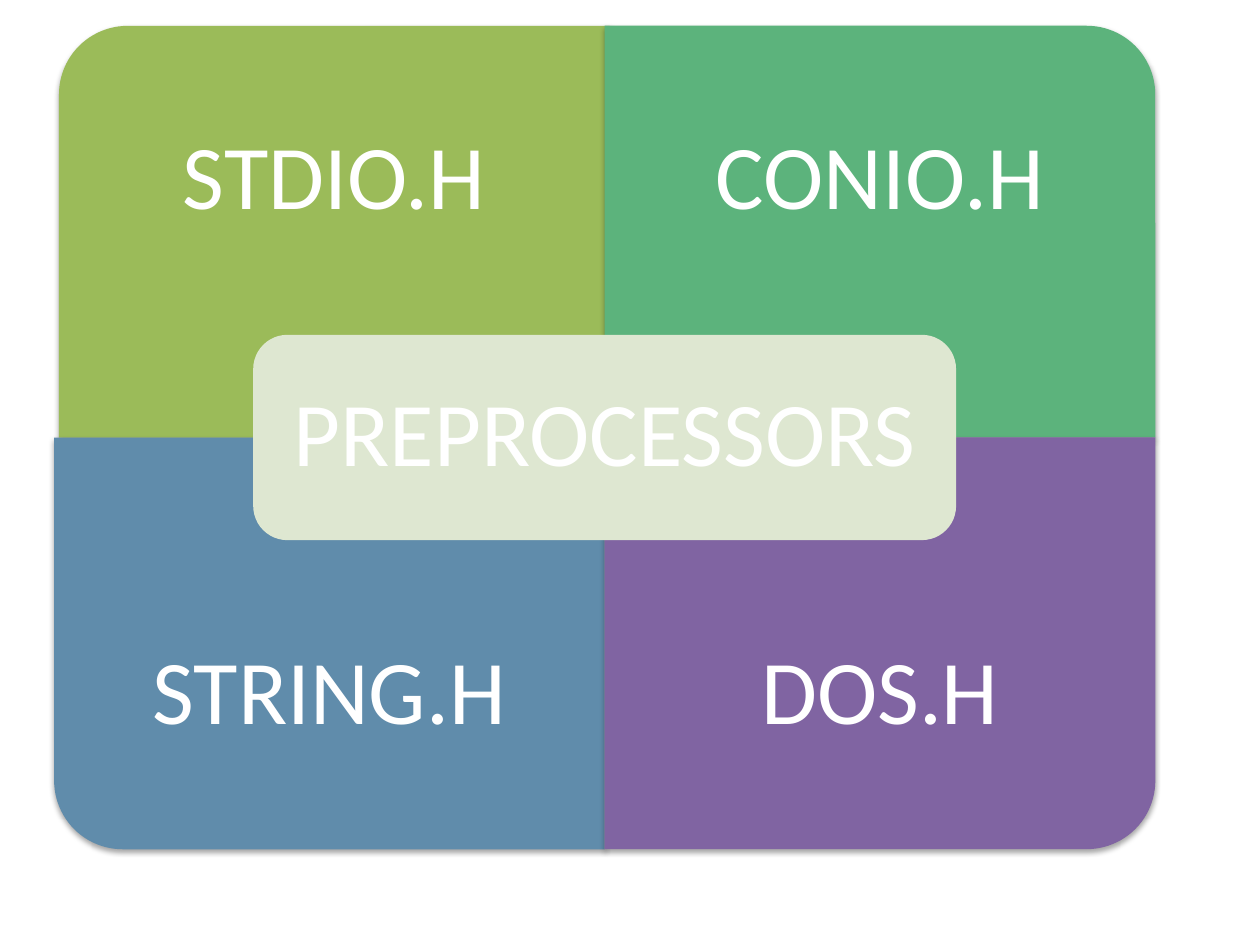
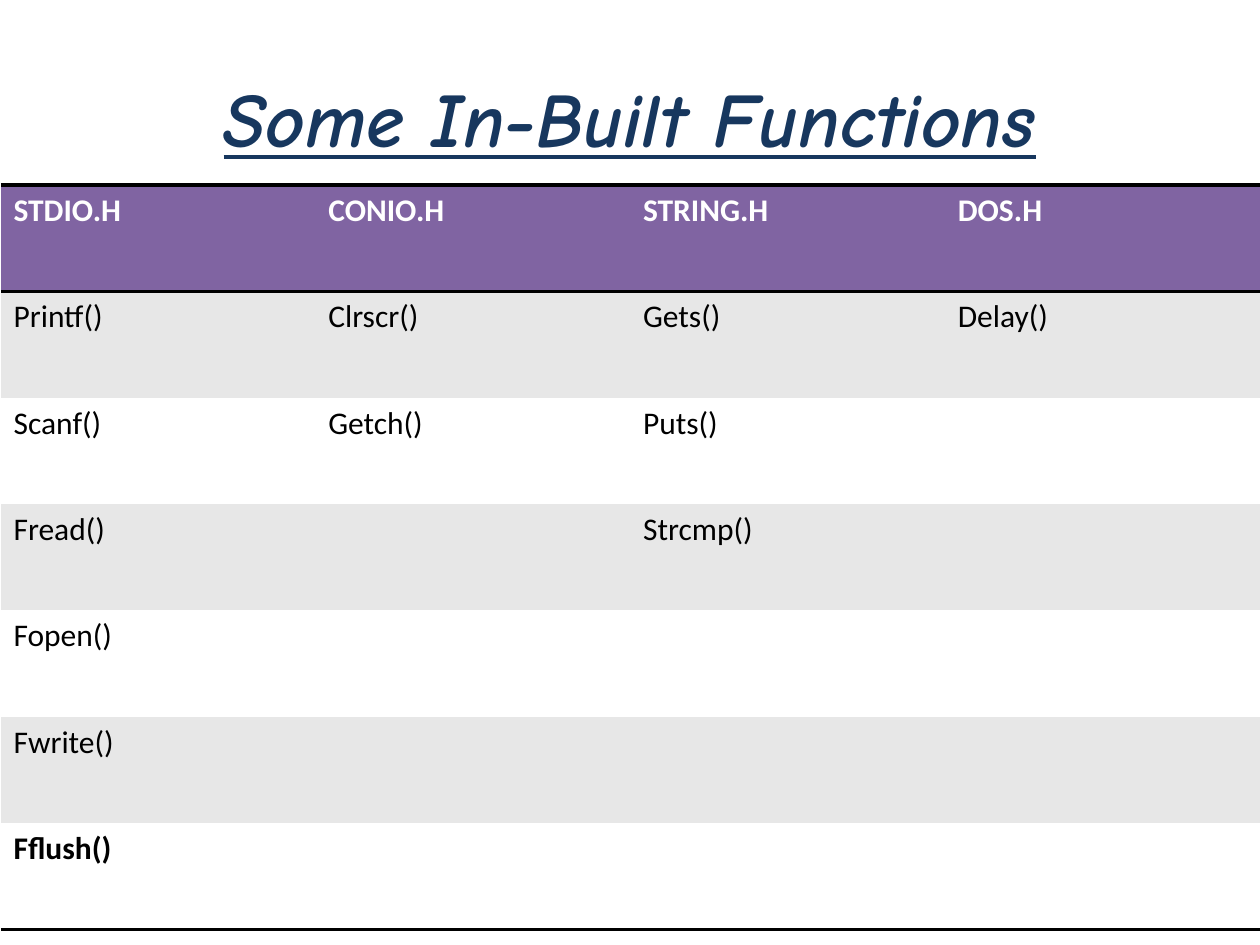
from lxml.etree import SubElement
from pptx import Presentation
from pptx.dml.color import RGBColor
from pptx.enum.shapes import MSO_SHAPE
from pptx.enum.text import MSO_ANCHOR, PP_ALIGN
from pptx.oxml import parse_xml
from pptx.oxml.ns import nsdecls, qn
from pptx.util import Cm, Pt

WHITE, BLACK, NAVY = "FFFFFF", "000000", "17375E"
GREEN, TEAL, BLUE, PURPLE = "9BBB59", "5CB37C", "608CAB", "8064A2"
PALE_GREEN, BAND_GREY = "DEE7D1", "E7E7E7"
BODY_FONT, TITLE_FONT = "Calibri", "Comic Neue"
PLAIN_TABLE_STYLE = "{2D5ABB26-0587-4C30-8999-92F81FD0307C}"

CENTRE_X, CENTRE_Y = 12.19, 8.82
QUADRANT_WIDTH, QUADRANT_HEIGHT, LABEL_HEIGHT = 11.1, 8.3, 6.22
QUADRANTS = [
    ("STDIO.H", GREEN, 1.19, CENTRE_Y - QUADRANT_HEIGHT, 270),
    ("CONIO.H", TEAL, CENTRE_X, CENTRE_Y - QUADRANT_HEIGHT, 0),
    ("STRING.H", BLUE, CENTRE_X - QUADRANT_WIDTH, CENTRE_Y, 180),
    ("DOS.H", PURPLE, CENTRE_X, CENTRE_Y, 90),
]
FUNCTIONS = [
    ["STDIO.H", "CONIO.H", "STRING.H", "DOS.H"],
    ["Printf()", "Clrscr()", "Gets()", "Delay()"],
    ["Scanf()", "Getch()", "Puts()", ""],
    ["Fread()", "", "Strcmp()", ""],
    ["Fopen()", "", "", ""],
    ["Fwrite()", "", "", ""],
    ["Fflush()", "", "", ""],
]


def colour(code):
    """Turn a hex string into a colour."""
    return RGBColor.from_string(code)


def style_font(font, name, size, code, bold=False):
    """Set the face, size, colour and weight of a font."""
    font.name, font.size, font.bold = name, Pt(size), bold
    font.color.rgb = colour(code)


def add_block(page, preset, left, top, width, height, fill):
    """Add a filled shape without outline or shadow."""
    block = page.shapes.add_shape(preset, Cm(left), Cm(top), Cm(width), Cm(height))
    block.shadow.inherit = False
    block.fill.solid()
    block.fill.fore_color.rgb = colour(fill)
    block.line.fill.background()
    return block


def add_shadow(block):
    """Give a shape a soft shadow that falls straight down."""
    effects = block._element.spPr.find(qn("a:effectLst"))
    effects.append(parse_xml(
        f'<a:outerShdw {nsdecls("a")} blurRad="{Pt(3.1)}" dist="{Pt(1.8)}" '
        f'dir="5400000" rotWithShape="0"><a:srgbClr val="{BLACK}">'
        '<a:alpha val="35000"/></a:srgbClr></a:outerShdw>'))


def write_centred(box, text, name, size, code):
    """Write one centred paragraph in the middle of a box."""
    frame = box.text_frame
    frame.word_wrap = True
    frame.vertical_anchor = MSO_ANCHOR.MIDDLE
    para = frame.paragraphs[0]
    para.text = text
    para.alignment = PP_ALIGN.CENTER
    style_font(para.font, name, size, code)
    return para


def add_label(page, text, left, top, width, height, name, size, code):
    """Add a text box with one centred paragraph."""
    box = page.shapes.add_textbox(Cm(left), Cm(top), Cm(width), Cm(height))
    return write_centred(box, text, name, size, code)


def add_quadrant(page, text, fill, left, top, rotation):
    """Add a quarter with its outer corner rounded, and its label."""
    width, height = QUADRANT_WIDTH, QUADRANT_HEIGHT
    if rotation % 180:
        width, height = height, width
    block = add_block(page, MSO_SHAPE.ROUND_1_RECTANGLE,
                      left + (QUADRANT_WIDTH - width) / 2,
                      top + (QUADRANT_HEIGHT - height) / 2, width, height, fill)
    block.rotation = rotation
    add_shadow(block)
    label_top = top if top < CENTRE_Y else top + QUADRANT_HEIGHT - LABEL_HEIGHT
    para = add_label(page, text, left, label_top, QUADRANT_WIDTH, LABEL_HEIGHT,
                     BODY_FONT, 52, WHITE)
    para.line_spacing = 0.9


def add_border(cell, sides):
    """Draw black rules on the given sides, in the order top, bottom."""
    properties = cell._tc.get_or_add_tcPr()
    for index, side in enumerate(sides):
        rule = parse_xml(
            f'<a:ln{side} {nsdecls("a")} w="{Pt(2)}"><a:solidFill>'
            f'<a:srgbClr val="{BLACK}"/></a:solidFill></a:ln{side}>')
        properties.insert(index, rule)


def add_function_table(page, rows, left, top, width, height):
    """Add a banded table with a dark header and rules around the body."""
    table = page.shapes.add_table(len(rows), len(rows[0]), Cm(left), Cm(top),
                                  Cm(width), Cm(height)).table
    properties = table._tbl.tblPr
    style = properties.find(qn("a:tableStyleId"))
    if style is None:
        style = SubElement(properties, qn("a:tableStyleId"))
    style.text = PLAIN_TABLE_STYLE
    last = len(rows) - 1
    for row, texts in enumerate(rows):
        band = PURPLE if row == 0 else BAND_GREY if row % 2 else WHITE
        for column, text in enumerate(texts):
            cell = table.cell(row, column)
            cell.text = text
            style_font(cell.text_frame.paragraphs[0].font, BODY_FONT, 18,
                       BLACK if row else WHITE, row in (0, last))
            cell.fill.solid()
            cell.fill.fore_color.rgb = colour(band)
            add_border(cell, {0: "TB", last: "B"}.get(row, ""))


def build_preprocessors(page):
    """Build the four headers around the central topic."""
    for quadrant in QUADRANTS:
        add_quadrant(page, *quadrant)
    width, height = 14.17, 4.14
    topic = add_block(page, MSO_SHAPE.ROUNDED_RECTANGLE, CENTRE_X - width / 2,
                      CENTRE_Y - height / 2, width, height, PALE_GREEN)
    para = write_centred(topic, "PREPROCESSORS", BODY_FONT, 52, WHITE)
    para.line_spacing = 0.9


def build_functions(page):
    """Build the titled table of functions."""
    title = add_label(page, "Some In-Built Functions", 1.27, 0.76, 22.86, 3.18,
                      TITLE_FONT, 44, NAVY)
    title.font.bold = title.font.italic = title.font.underline = True
    add_function_table(page, FUNCTIONS, 0.02, 3.73, 25.38, 15.01)


def main():
    """Build and save the deck."""
    deck = Presentation()
    deck.slide_width, deck.slide_height = Cm(25.4), Cm(19.05)
    for build in (build_preprocessors, build_functions):
        build(deck.slides.add_slide(deck.slide_layouts[6]))
    deck.save("out.pptx")


if __name__ == "__main__":
    main()
